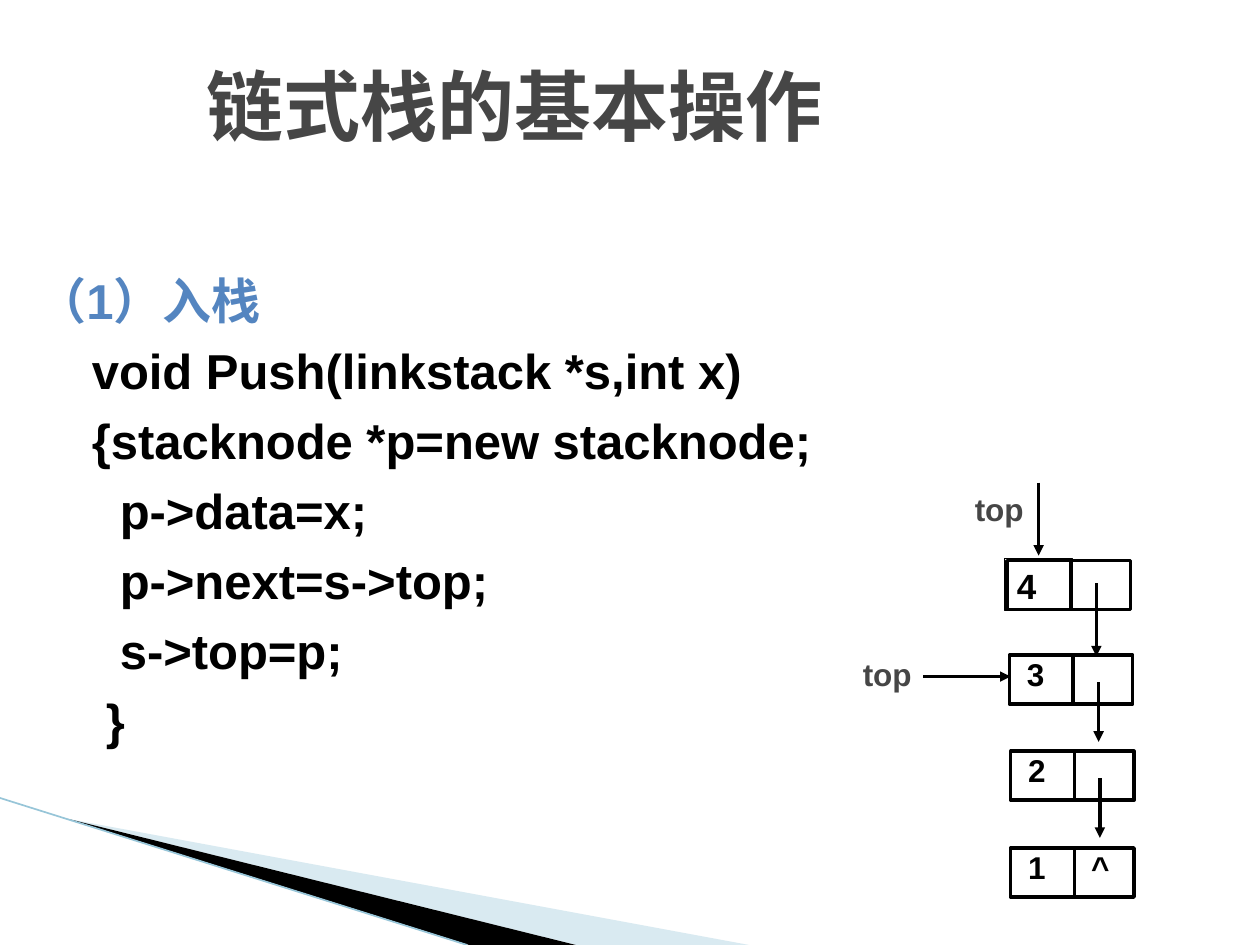
from dataclasses import dataclass
from lxml.etree import SubElement
from pptx import Presentation
from pptx.dml.color import RGBColor as RGB
from pptx.enum.shapes import MSO_CONNECTOR as Conn, MSO_SHAPE as Shape
from pptx.enum.text import MSO_ANCHOR as Anchor, PP_ALIGN as Align
from pptx.oxml.ns import qn
from pptx.util import Pt


@dataclass(frozen=True)
class Theme:
    """Colours, fonts and sizes of the slide."""
    ink: str = "000000"
    grey: str = "464646"
    blue: str = "5485C0"
    pale: str = "A0CBDC"
    edge: str = "97C5D8"
    sans: str = "Arial"
    serif: str = "Times New Roman"
    title: int = 44
    code: int = 28
    digit: int = 20
    label: int = 18
    rule: float = 2
    thin: float = 0.75


T = Theme()


def write(frame, rows, size=T.label, color=T.ink, font=T.sans, align=Align.LEFT,
          anchor=Anchor.TOP, inset=(0, 0), lead=None, before=0, tab=None):
    """Fill a frame with rows of (text, indent) or (text, indent, color)."""
    frame.word_wrap = True
    frame.vertical_anchor = anchor
    frame.margin_left = frame.margin_right = Pt(inset[0])
    frame.margin_top = frame.margin_bottom = Pt(inset[1])
    for i, (text, indent, *own) in enumerate(rows):
        para = frame.paragraphs[0] if i == 0 else frame.add_paragraph()
        para.alignment, para.line_spacing, para.space_before = align, lead, Pt(before)
        props = para._p.get_or_add_pPr()
        props.set("marL", str(Pt(indent)))
        props.set("indent", "0")
        if tab:
            stops = SubElement(props, qn("a:tabLst"))
            SubElement(stops, qn("a:tab"), pos=str(Pt(tab)), algn="l")
        run = para.add_run()
        run.text = text
        run.font.name, run.font.size, run.font.bold = font, Pt(size), True
        run.font.color.rgb = RGB.from_string(own[0] if own else color)


def label(slide, box, rows, **form):
    """Place a text box."""
    write(slide.shapes.add_textbox(*map(Pt, box)).text_frame, rows, **form)


def line(slide, start, end, color=T.ink, width=T.rule, arrow=False):
    """Draw a straight line, with an arrowhead if asked."""
    link = slide.shapes.add_connector(Conn.STRAIGHT, *map(Pt, (*start, *end)))
    link.line.color.rgb = RGB.from_string(color)
    link.line.width = Pt(width)
    SubElement(link._element.spPr, qn("a:effectLst"))
    if arrow:
        SubElement(link.line._get_or_add_ln(), qn("a:tailEnd"), type="triangle")


def frame(slide, box, width=T.rule):
    """Draw an unfilled rectangle and return it."""
    rect = slide.shapes.add_shape(Shape.RECTANGLE, *map(Pt, box))
    rect.shadow.inherit = False
    rect.fill.background()
    rect.line.color.rgb = RGB.from_string(T.ink)
    rect.line.width = Pt(width)
    return rect


def wedge(slide, points, color, alpha=None):
    """Draw a filled outline without a border."""
    first, *rest = [(Pt(x), Pt(y)) for x, y in points]
    pen = slide.shapes.build_freeform(*first)
    pen.add_line_segments(rest)
    form = pen.convert_to_shape()
    form.shadow.inherit = False
    form.line.fill.background()
    form.fill.solid()
    form.fill.fore_color.rgb = RGB.from_string(color)
    if alpha:
        tint = form._element.spPr.find(".//" + qn("a:srgbClr"))
        SubElement(tint, qn("a:alpha"), val=str(alpha * 1000))


def corner(slide, box):
    """Draw the swoosh in the lower left corner."""
    x, y, w, h = box
    tip, base = (x + 39, y + 12), y + h
    wedge(slide, [tip, (x + w, base), (x + 329, base)], T.pale, 40)
    wedge(slide, [tip, (x + 329, base), (x + 268, base)], T.ink)
    line(slide, (x, y), (x + 267, base), T.edge, 0.95)


def code(slide, box):
    """Write the push routine."""
    rows = [("（1）入栈", 0, T.blue), ("void Push(linkstack *s,int x)", 31),
            ("{stacknode *p=new stacknode;", 31), ("p->data=x;", 47),
            ("p->next=s->top;", 47), ("s->top=p;", 47), ("}", 39)]
    label(slide, box, rows, size=T.code, inset=(7.2, 3.6), lead=1.1,
          before=3, align=Align.JUSTIFY)


def node(slide, box, text="", link=None):
    """Draw a list node with its data, divider and link arrow."""
    x, y, w, h = box
    rect = frame(slide, box)
    if text:
        write(rect.text_frame, [(text, 10)], tab=40)
    line(slide, (x + 36.5, y), (x + 36.5, y + h))
    if link:
        line(slide, (x + 51, y + link[0]), (x + 51, y + link[1]), arrow=True)


def stack(slide, box):
    """Draw the linked stack with its old and new top pointers."""
    x, y, w, h = box
    wide, high = 70.5, 28
    left = x + w - wide
    short = (15.5, 49.5)
    node(slide, (left - 0.7, y + 98.6, wide, high), "3", short)
    node(slide, (left, y + 153.5, wide, high), "2", short)
    node(slide, (left, y + h - high, wide, high), "1\t^")
    node(slide, (left - 2, y + 44.6, wide, high), link=(13, 54.7))
    cell = frame(slide, (left - 3.5, y + 43.2, 39, 30), T.thin)
    write(cell.text_frame, [("4", 0)], size=T.digit, inset=(7.2, 3.6))
    line(slide, (x + 34.7, y + 110.8), (left, y + 110.8), arrow=True)
    line(slide, (left + 16, y), (left + 16, y + 41.7), arrow=True)
    for dx, dy in ((0, 98.6), (64, 4.3)):
        label(slide, (x + dx, y + dy, 38, 27), [("top", 0)], color=T.grey,
              align=Align.JUSTIFY)


def main():
    """Build and save the slide."""
    deck = Presentation()
    deck.slide_width, deck.slide_height = Pt(720), Pt(540)
    slide = deck.slides.add_slide(deck.slide_layouts[6])
    corner(slide, (0, 456, 428, 84))
    code(slide, (14.4, 147.6, 618, 279))
    stack(slide, (493, 275.8, 155, 236.8))
    label(slide, (111, 33, 375, 54), [("链式栈的基本操作", 0)], size=T.title,
          color=T.grey, font=T.serif, anchor=Anchor.MIDDLE, inset=(7.2, 3.6))
    deck.save("out.pptx")


if __name__ == "__main__":
    main()
